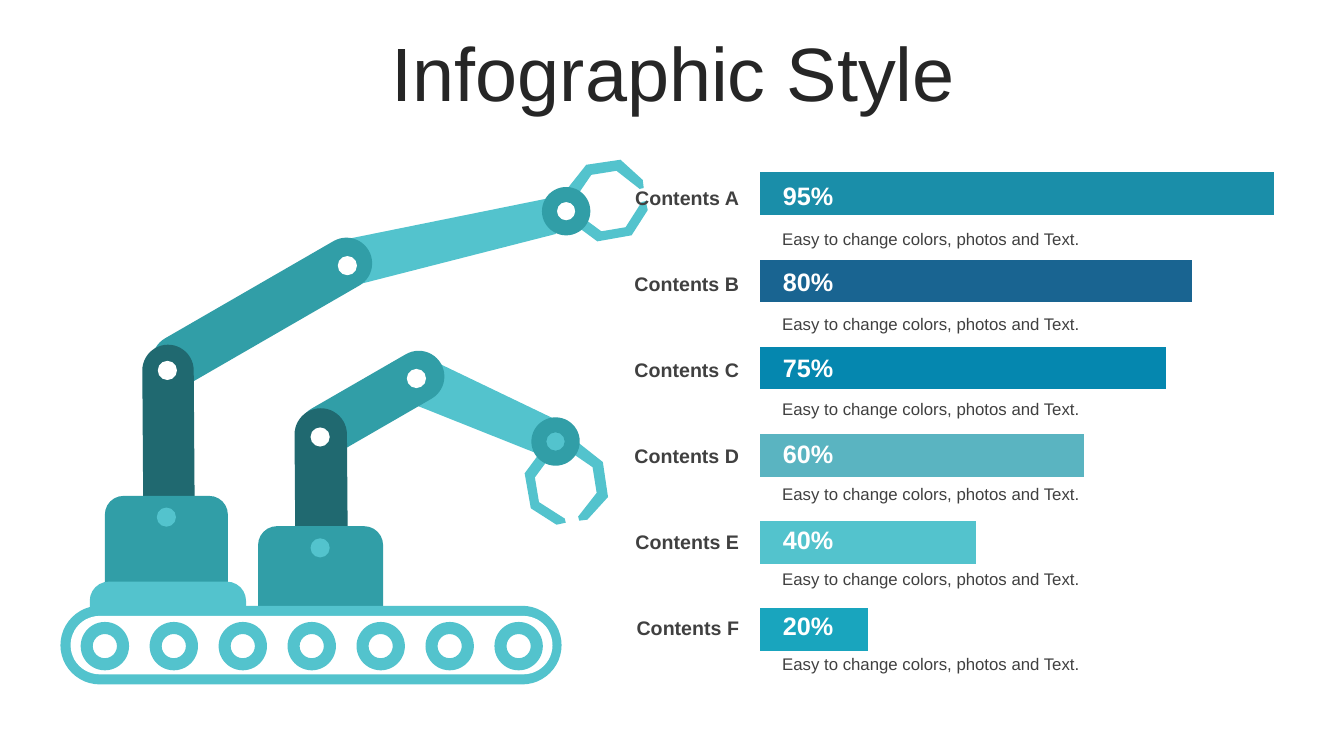
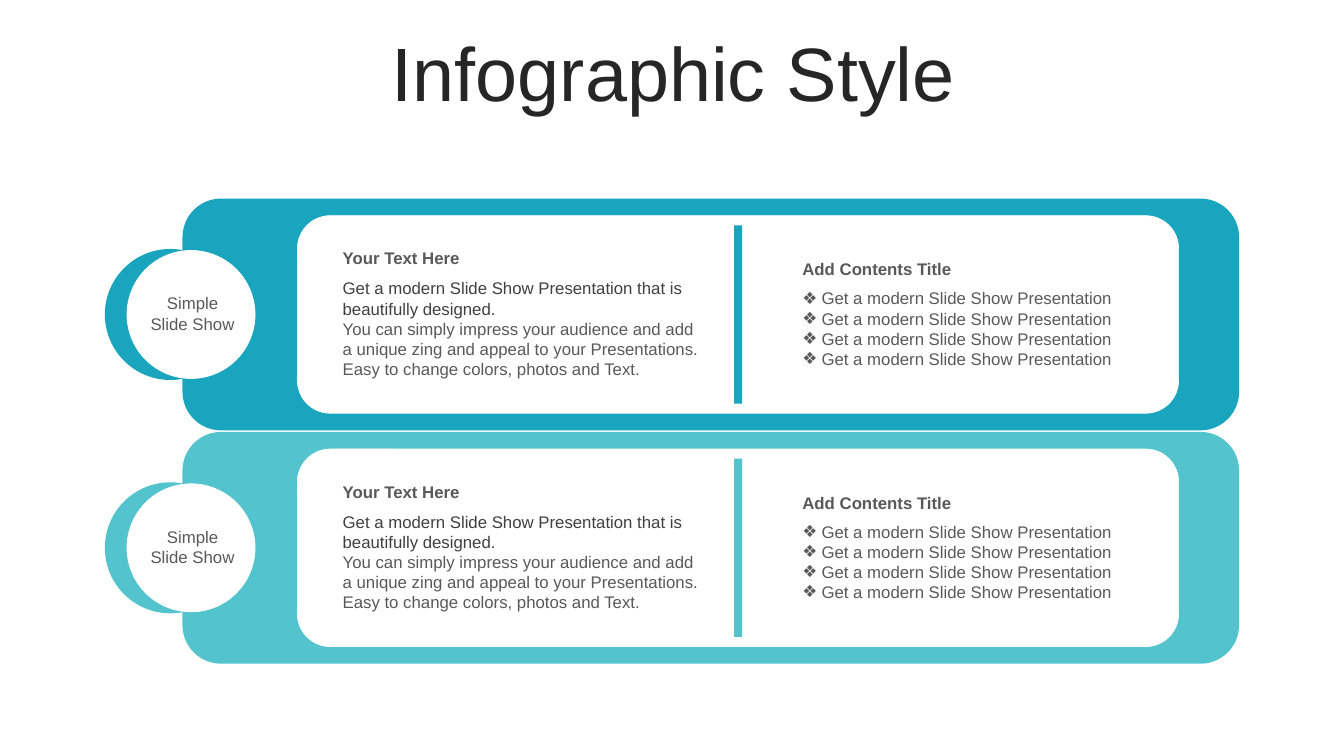
from dataclasses import dataclass
from math import cos, radians, sin
from typing import NamedTuple, Optional

from lxml import etree
from pptx import Presentation
from pptx.chart.data import CategoryChartData
from pptx.dml.color import RGBColor
from pptx.enum.chart import XL_CHART_TYPE
from pptx.enum.shapes import MSO_SHAPE
from pptx.enum.text import MSO_ANCHOR, MSO_AUTO_SIZE, PP_ALIGN
from pptx.oxml.ns import qn
from pptx.util import Emu, Inches, Pt

RECT, ROUND, OVAL = MSO_SHAPE.RECTANGLE, MSO_SHAPE.ROUNDED_RECTANGLE, MSO_SHAPE.OVAL
TRAPEZOID, DONUT = MSO_SHAPE.TRAPEZOID, MSO_SHAPE.DONUT
ROUND_TOP = MSO_SHAPE.ROUND_2_SAME_RECTANGLE
LEFT, CENTER, RIGHT = PP_ALIGN.LEFT, PP_ALIGN.CENTER, PP_ALIGN.RIGHT
MIDDLE, TOP = MSO_ANCHOR.MIDDLE, MSO_ANCHOR.TOP
GROW, FIXED = MSO_AUTO_SIZE.SHAPE_TO_FIT_TEXT, MSO_AUTO_SIZE.NONE
STACKED_BAR = XL_CHART_TYPE.BAR_STACKED
CELL = Inches(0.1)


@dataclass(frozen=True)
class Theme:
    font: str = "Arial"
    title_size: int = 54
    value_size: int = 18
    label_size: int = 14
    body_size: int = 12
    white: str = "FFFFFF"
    title: str = "262626"
    dark: str = "404040"
    grey: str = "595959"
    aqua: str = "53C3CD"
    teal: str = "319EA7"
    deep: str = "206970"
    cyan: str = "19A5BE"


T = Theme()


class Box(NamedTuple):
    col: float
    row: float
    cols: float
    rows: float

    def emu(self) -> list[Emu]:
        return [Emu(round(v * CELL)) for v in self]

    def down(self, rows: float) -> "Box":
        return self._replace(row=self.row + rows)


class Point(NamedTuple):
    col: float
    row: float

    def around(self, size: float) -> Box:
        return Box(self.col - size / 2, self.row - size / 2, size, size)


class Line(NamedTuple):
    text: str
    size: int = T.body_size
    color: str = T.grey
    bold: bool = False
    align: PP_ALIGN = LEFT
    bullet: str = ""
    spacing: float = 1.0


class Bar(NamedTuple):
    label: str
    share: str
    value: int
    color: str


@dataclass(frozen=True)
class Robot:
    forearm: Box
    forearm_turn: float
    upper_arm: Box
    elbow: Point
    post: Box
    shoulder: Point
    wrist: Point
    claw_turn: float
    claw_scale: float
    base: Box
    lamp: Point
    pad: Optional[Box] = None


ROBOTS = [
    Robot(Box(46.2, 32.7, 4.8, 16.3), 113.7, Box(28.9, 37.5, 15.9, 5.1), Point(41.3, 37.55),
          Box(29.25, 40.5, 5.2, 15.4), Point(31.75, 43.35), Point(55.1, 43.8), 90, 1.02,
          Box(25.6, 52.2, 12.4, 9.9), Point(31.75, 54.35)),
    Robot(Box(41.9, 13.1, 4.7, 21.5), 77.1, Box(13.8, 28.4, 24.4, 5.1), Point(34.45, 26.35),
          Box(14.15, 34.2, 5.1, 15.2), Point(16.6, 36.75), Point(56.15, 20.95), 0, 1,
          Box(10.4, 49.2, 12.2, 9.7), Point(16.5, 51.3), Box(8.9, 57.7, 15.5, 3.8)),
]
CLAWS = [
    [(0.1, -2.2), (2, -4.6), (5.4, -5.1), (7.6, -3.1), (7.7, -2.3),
     (7.3, -2.2), (5, -4), (2.5, -3.6), (1.2, -1.7)],
    [(0.8, 1.3), (3.1, 3), (6.5, 2.4), (8.1, -0.1), (7.9, -1),
     (7.5, -0.9), (5.9, 1.6), (3.5, 2), (1.6, 0.6)],
]
BARS = [
    Bar("A", "95%", 100, "1A8EA9"), Bar("B", "80%", 84, "196491"),
    Bar("C", "75%", 79, "0587AF"), Bar("D", "60%", 63, "5AB4C1"),
    Bar("E", "40%", 42, T.aqua), Bar("F", "20%", 21, T.cyan),
]


def assign(target, values: dict) -> None:
    for name, value in values.items():
        setattr(target, name, value)


def paint(sp, fill: str, line: Optional[str] = None) -> None:
    sp.shadow.inherit = False
    sp.fill.solid()
    sp.fill.fore_color.rgb = RGBColor.from_string(fill)
    if line:
        sp.line.color.rgb = RGBColor.from_string(line)
        sp.line.width = Pt(0.5)
    else:
        sp.line.fill.background()


def shape(s, kind, box: Box, fill: str, adj: tuple = (), turn: float = 0,
          line: Optional[str] = None) -> None:
    sp = s.shapes.add_shape(kind, *box.emu())
    for i, value in enumerate(adj):
        sp.adjustments[i] = value
    sp.rotation = turn
    paint(sp, fill, line)


def text(s, box: Box, *lines: Line, anchor=TOP, fit=GROW) -> None:
    tf = s.shapes.add_textbox(*box.emu()).text_frame
    assign(tf, {"word_wrap": True, "auto_size": fit, "vertical_anchor": anchor})
    for i, line in enumerate(lines):
        p = tf.paragraphs[0] if i == 0 else tf.add_paragraph()
        assign(p, {"alignment": line.align, "line_spacing": line.spacing})
        if line.bullet:
            pPr = p._p.get_or_add_pPr()
            indent = Inches(0.19)
            pPr.set("marL", str(indent))
            pPr.set("indent", str(-indent))
            etree.SubElement(pPr, qn("a:buFont")).set("typeface", T.font)
            etree.SubElement(pPr, qn("a:buChar")).set("char", line.bullet)
        r = p.add_run()
        r.text = line.text
        assign(r.font, {"name": T.font, "size": Pt(line.size), "bold": line.bold})
        r.font.color.rgb = RGBColor.from_string(line.color)


def new_slide(prs):
    s = prs.slides.add_slide(prs.slide_layouts[6])
    text(s, Box(3.5, 3.7, 126.6, 7.9),
         Line("Infographic Style", T.title_size, T.title, align=CENTER, spacing=0.9),
         anchor=MIDDLE, fit=FIXED)
    return s


def claw(s, robot: Robot, outline: list) -> None:
    c, n = cos(radians(robot.claw_turn)), sin(radians(robot.claw_turn))
    k = robot.claw_scale
    points = [(round((robot.wrist.col + k * (x * c - y * n)) * CELL),
               round((robot.wrist.row + k * (x * n + y * c)) * CELL)) for x, y in outline]
    builder = s.shapes.build_freeform(*points[0])
    builder.add_line_segments(points[1:], close=True)
    paint(builder.convert_to_shape(), T.aqua)


def draw_robot(s, robot: Robot) -> None:
    dot = 1.9
    shape(s, TRAPEZOID, robot.forearm, T.aqua, (0.115,), robot.forearm_turn)
    shape(s, ROUND, robot.upper_arm, T.teal, (0.5,), 330)
    shape(s, OVAL, robot.elbow.around(dot), T.white)
    shape(s, ROUND_TOP, robot.post, T.deep, (0.5, 0), 359.6)
    shape(s, OVAL, robot.shoulder.around(dot), T.white)
    for outline in CLAWS:
        claw(s, robot, outline)
    shape(s, DONUT, robot.wrist.around(4.8), T.teal, (0.31,))
    shape(s, ROUND_TOP, robot.base, T.teal, (0.19, 0.06))
    if robot.pad:
        shape(s, ROUND_TOP, robot.pad, T.aqua, (0.5, 0))
    shape(s, OVAL, robot.lamp.around(dot), T.aqua)


def draw_conveyor(s) -> None:
    shape(s, ROUND, Box(6, 60.1, 49.7, 7.8), T.aqua, (0.5,))
    shape(s, ROUND, Box(7, 61.1, 47.8, 5.8), T.white, (0.5,))
    for i in range(7):
        shape(s, DONUT, Box(8 + 6.84 * i, 61.7, 4.8, 4.8), T.aqua, (0.25,))


def draw_chart(s) -> None:
    bars = BARS[::-1]
    data = CategoryChartData()
    data.categories = [str(i + 1) for i in range(len(bars))]
    data.add_series("Series 1", [b.value for b in bars])
    chart = s.shapes.add_chart(STACKED_BAR, *Box(74.3, 13.8, 56, 54.1).emu(), data).chart
    assign(chart, {"has_legend": False, "has_title": False})
    assign(chart.font, {"name": T.font, "size": Pt(T.value_size)})
    chart.font.color.rgb = RGBColor.from_string("000000")
    assign(chart.value_axis, {"visible": False, "has_major_gridlines": False,
                              "minimum_scale": 0, "maximum_scale": 100})
    chart.category_axis.visible = False
    plot = chart.plots[0]
    assign(plot, {"gap_width": 105, "overlap": 100, "vary_by_categories": False})
    for i, bar in enumerate(bars):
        fill = plot.series[0].points[i].format.fill
        fill.solid()
        fill.fore_color.rgb = RGBColor.from_string(bar.color)
    area = chart._chartSpace.chart.plotArea
    for old in area.findall(qn("c:layout")):
        area.remove(old)
    layout = etree.Element(qn("c:layout"))
    area.insert(0, layout)
    manual = etree.SubElement(layout, qn("c:manualLayout"))
    for tag, value in {"layoutTarget": "inner", "xMode": "edge", "yMode": "edge",
                       "x": 0.02, "y": 0.02, "w": 0.91, "h": 0.96}.items():
        etree.SubElement(manual, qn(f"c:{tag}")).set("val", str(value))


def robot_slide(prs) -> None:
    s = new_slide(prs)
    for robot in ROBOTS:
        draw_robot(s, robot)
    draw_conveyor(s)
    draw_chart(s)
    for i, bar in enumerate(BARS):
        text(s, Box(57.8, 18, 16.5, 3.4).down(8.52 * i),
             Line(f"Contents {bar.label}", T.label_size, T.dark, True, RIGHT))
        text(s, Box(76.1, 17.4, 8.1, 4).down(8.54 * i),
             Line(bar.share, T.value_size, T.white, True, CENTER))
        text(s, Box(76.6, 22.2, 39.7, 3).down(8.44 * i),
             Line("Easy to change colors, photos and Text.", color=T.dark))


def draw_panel(s, drop: float, color: str) -> None:
    shape(s, ROUND, Box(18.1, 19.7, 104.8, 23).down(drop), color)
    shape(s, ROUND, Box(29.5, 21.4, 87.4, 19.6).down(drop), T.white, line=T.white)
    shape(s, OVAL, Box(10.4, 24.7, 13, 13).down(drop), color)
    shape(s, OVAL, Box(12.6, 24.85, 12.7, 12.7).down(drop), T.white, line=T.white)
    shape(s, RECT, Box(72.8, 22.35, 0.8, 17.7).down(drop), color)
    text(s, Box(13.4, 28.6, 11.4, 5).down(drop),
         Line("Simple", align=CENTER), Line("Slide Show", align=CENTER))
    text(s, Box(33, 24.1, 37.8, 3).down(drop), Line("Your Text Here", bold=True))
    text(s, Box(33, 27.1, 37.8, 11.1).down(drop),
         Line("Get a modern Slide Show Presentation that is beautifully designed.",
              color=T.dark),
         Line("You can simply impress your audience and add a unique zing and appeal to "
              "your Presentations. Easy to change colors, photos and Text."))
    text(s, Box(78.6, 25.2, 34.5, 3).down(drop), Line("Add Contents Title", bold=True))
    text(s, Box(78.6, 28.1, 34.5, 9.1).down(drop),
         *[Line("Get a modern Slide Show Presentation", bullet="❖")] * 4)


def panel_slide(prs) -> None:
    s = new_slide(prs)
    for i, color in enumerate((T.cyan, T.aqua)):
        draw_panel(s, 23.15 * i, color)


def main() -> None:
    prs = Presentation()
    assign(prs, {"slide_width": Inches(13.33), "slide_height": Inches(7.5)})
    robot_slide(prs)
    panel_slide(prs)
    prs.save("out.pptx")


if __name__ == "__main__":
    main()
